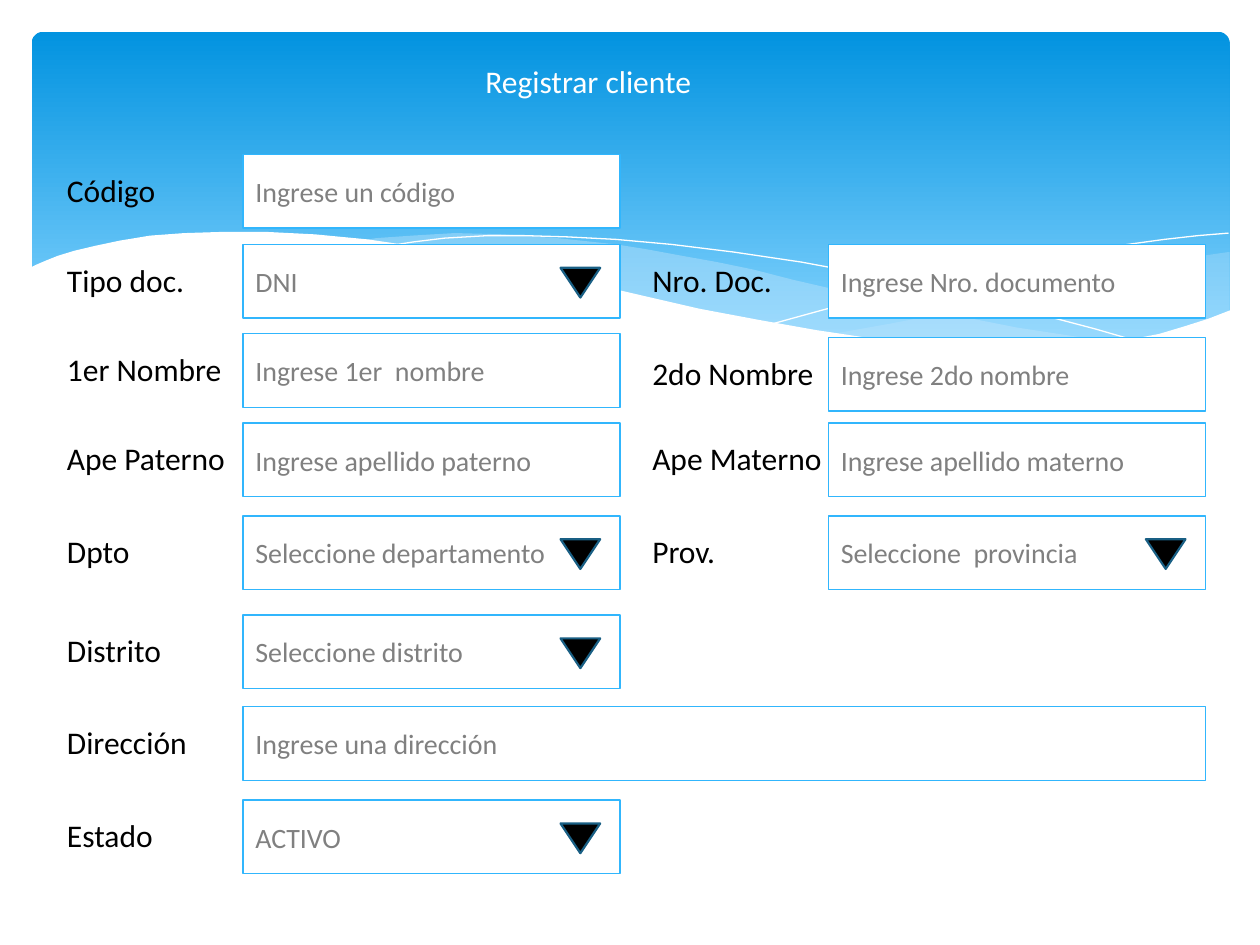
from lxml import etree
from pptx import Presentation
from pptx.dml.color import RGBColor
from pptx.enum import shapes, text
from pptx.oxml.ns import qn
from pptx.util import Cm, Pt

FONT = "Calibri"
WHITE, BLACK, GREY = "FFFFFF", "000000", "808080"
SKY, PALE, NAVY = "31B6FD", "C6E7FC", "195F84"

LABEL_HEIGHT, LABEL_DROP = 1.02, 0.2
FIELD_OFFSET, FIELD_WIDTH, FIELD_HEIGHT = 3.8, 7.6, 1.48
LEFT_COLUMN, RIGHT_COLUMN = 1.1, 12.9

# Wave outlines, in hundredths of an inch from the slide's corner
WAVE_UNIT = Cm(0.0254)
RIGHT_WAVE = [
    (975, 200), (948, 204), (921, 210), (891, 216), (861, 223), (805, 237),
    (753, 248), (706, 257), (661, 265), (691, 269), (719, 272), (745, 275),
    (781, 277), (814, 278), (854, 276), (889, 272), (921, 265), (949, 257),
    (963, 252), (976, 247), (976, 200)]
MIDDLE_WAVE = [
    (893, 273), (866, 269), (807, 260), (741, 247), (668, 231), (629, 222),
    (598, 214), (569, 208), (541, 203), (514, 198), (489, 194), (442, 189),
    (399, 186), (361, 185), (328, 187), (299, 189), (286, 191), (323, 196),
    (362, 203), (404, 211), (449, 222), (530, 240), (584, 252), (634, 261),
    (680, 268), (722, 274), (761, 277), (796, 278), (838, 278), (876, 275)]
LONG_CREST = [
    (309, 195), (328, 192), (353, 189), (387, 187), (416, 187), (450, 188),
    (489, 190), (533, 194), (582, 200), (636, 208), (695, 219), (760, 233),
    (831, 251), (869, 261), (907, 272)]
SHORT_CREST = [
    (613, 257), (653, 246), (695, 235), (748, 223), (806, 210), (866, 199),
    (895, 194), (924, 190), (951, 187), (975, 185)]
WHITE_WAVE = [
    (977, 246), (959, 253), (940, 259), (920, 265), (899, 269), (875, 273),
    (850, 275), (823, 277), (793, 276), (761, 275), (726, 272), (688, 268),
    (648, 262), (603, 254), (555, 245), (503, 233), (447, 220), (391, 207),
    (340, 197), (292, 190), (250, 186), (211, 184), (177, 184), (146, 185),
    (119, 187), (95, 191), (76, 195), (59, 199), (46, 203), (36, 207),
    (29, 210), (23, 213), (23, 329), (977, 329)]

# Column, top, label, label width, field text, is a drop-down list
FIELDS = [
    (LEFT_COLUMN, 3.12, "Código", 2.4, "Ingrese un código", False),
    (LEFT_COLUMN, 4.93, "Tipo doc.", 2.97, "DNI", True),
    (RIGHT_COLUMN, 4.93, "Nro. Doc.", 3.05, "Ingrese Nro. documento", False),
    (LEFT_COLUMN, 6.73, "1er Nombre", 3.78, "Ingrese 1er  nombre", False),
    (RIGHT_COLUMN, 6.81, "2do Nombre", 4, "Ingrese 2do nombre", False),
    (LEFT_COLUMN, 8.53, "Ape Paterno", 3.9, "Ingrese apellido paterno", False),
    (RIGHT_COLUMN, 8.53, "Ape Materno", 4.1, "Ingrese apellido materno", False),
    (LEFT_COLUMN, 10.4, "Dpto", 1.88, "Seleccione departamento", True),
    (RIGHT_COLUMN, 10.4, "Prov.", 1.93, "Seleccione  provincia", True),
    (LEFT_COLUMN, 12.4, "Distrito", 2.5, "Seleccione distrito", True),
    (LEFT_COLUMN, 14.25, "Dirección", 3.05, "Ingrese una dirección", False),
    (LEFT_COLUMN, 16.13, "Estado", 2.36, "ACTIVO", True)]
WIDE_FIELDS = {"Dirección": 19.4}


def rgb(value):
    return RGBColor.from_string(value)


def paint(shape, fill=None, line=None, weight=0, opacity=None):
    shape.shadow.inherit = False
    if fill:
        shape.fill.solid()
        shape.fill.fore_color.rgb = rgb(fill)
        if opacity:
            color = shape.fill._xPr.find(qn("a:solidFill"))[0]
            etree.SubElement(color, qn("a:alpha"), val=str(opacity * 1000))
    else:
        shape.fill.background()
    if line:
        shape.line.color.rgb = rgb(line)
        shape.line.width = Pt(weight)
    else:
        shape.line.fill.background()


def write(shape, words, size, color):
    frame = shape.text_frame
    frame.text = words
    paragraph = frame.paragraphs[0]
    paragraph.alignment = text.PP_ALIGN.LEFT
    font = paragraph.runs[0].font
    font.name, font.size, font.color.rgb = FONT, Pt(size), rgb(color)
    return frame


def write_fitted(shape, words, color):
    """Write one unwrapped line in a box that grows with its text."""
    frame = write(shape, words, 18, color)
    frame.word_wrap = False
    frame.auto_size = text.MSO_AUTO_SIZE.SHAPE_TO_FIT_TEXT
    frame.vertical_anchor = text.MSO_ANCHOR.TOP


def add_wave(slide, left, top, points, closed=True, **look):
    outline = slide.shapes.build_freeform(*points[0], scale=WAVE_UNIT)
    outline.add_line_segments(points[1:], close=closed)
    paint(outline.convert_to_shape(Cm(left), Cm(top)), **look)


def add_backdrop(slide, left, top):
    banner = slide.shapes.add_shape(
        shapes.MSO_SHAPE.ROUNDED_RECTANGLE,
        Cm(left + 0.64), Cm(top + 0.64), Cm(24.15), Cm(6.86))
    banner.adjustments[0] = 0.034
    paint(banner)
    banner.fill.gradient()
    banner.fill.gradient_angle = 270
    for stop, (position, color) in zip(banner.fill.gradient_stops,
                                       [(0, "0293E0"), (0.9, "83D3FE")]):
        stop.position, stop.color.rgb = position, rgb(color)

    add_wave(slide, left, top, RIGHT_WAVE, fill=PALE, opacity=29)
    add_wave(slide, left, top, MIDDLE_WAVE, fill=PALE, opacity=40)
    for crest in (LONG_CREST, SHORT_CREST):
        add_wave(slide, left, top, crest, closed=False, line=WHITE)
    add_wave(slide, left, top, WHITE_WAVE, fill=WHITE)


def place_title(slide, left, top, width, height):
    title = slide.shapes.title
    title.left, title.top = Cm(left), Cm(top)
    title.width, title.height = Cm(width), Cm(height)
    write_fitted(title, "Registrar cliente", WHITE)
    slide.shapes._spTree.append(title._element)  # in front of the backdrop


def add_field(slide, left, top, label, label_width, hint, is_list):
    field_left = left + FIELD_OFFSET
    field = slide.shapes.add_shape(
        shapes.MSO_SHAPE.RECTANGLE, Cm(field_left), Cm(top),
        Cm(WIDE_FIELDS.get(label, FIELD_WIDTH)), Cm(FIELD_HEIGHT))
    paint(field, WHITE, SKY, 0.75)
    write(field, hint, 16, GREY).vertical_anchor = text.MSO_ANCHOR.MIDDLE

    caption = slide.shapes.add_textbox(
        Cm(left), Cm(top + LABEL_DROP), Cm(label_width), Cm(LABEL_HEIGHT))
    write_fitted(caption, label, BLACK)

    if is_list:
        arrow = slide.shapes.add_shape(
            shapes.MSO_SHAPE.FLOWCHART_MERGE,
            Cm(field_left + 6.4), Cm(top + 0.47), Cm(0.8), Cm(0.6))
        paint(arrow, BLACK, NAVY, 1.25)


def main():
    deck = Presentation()
    deck.slide_width, deck.slide_height = Cm(25.4), Cm(19.05)
    slide = deck.slides.add_slide(deck.slide_layouts.get_by_name("Title Only"))
    add_backdrop(slide, 0, 0)
    place_title(slide, 9.53, 1.12, 4.93, LABEL_HEIGHT)
    for field in FIELDS:
        add_field(slide, *field)
    deck.save("out.pptx")


if __name__ == "__main__":
    main()
